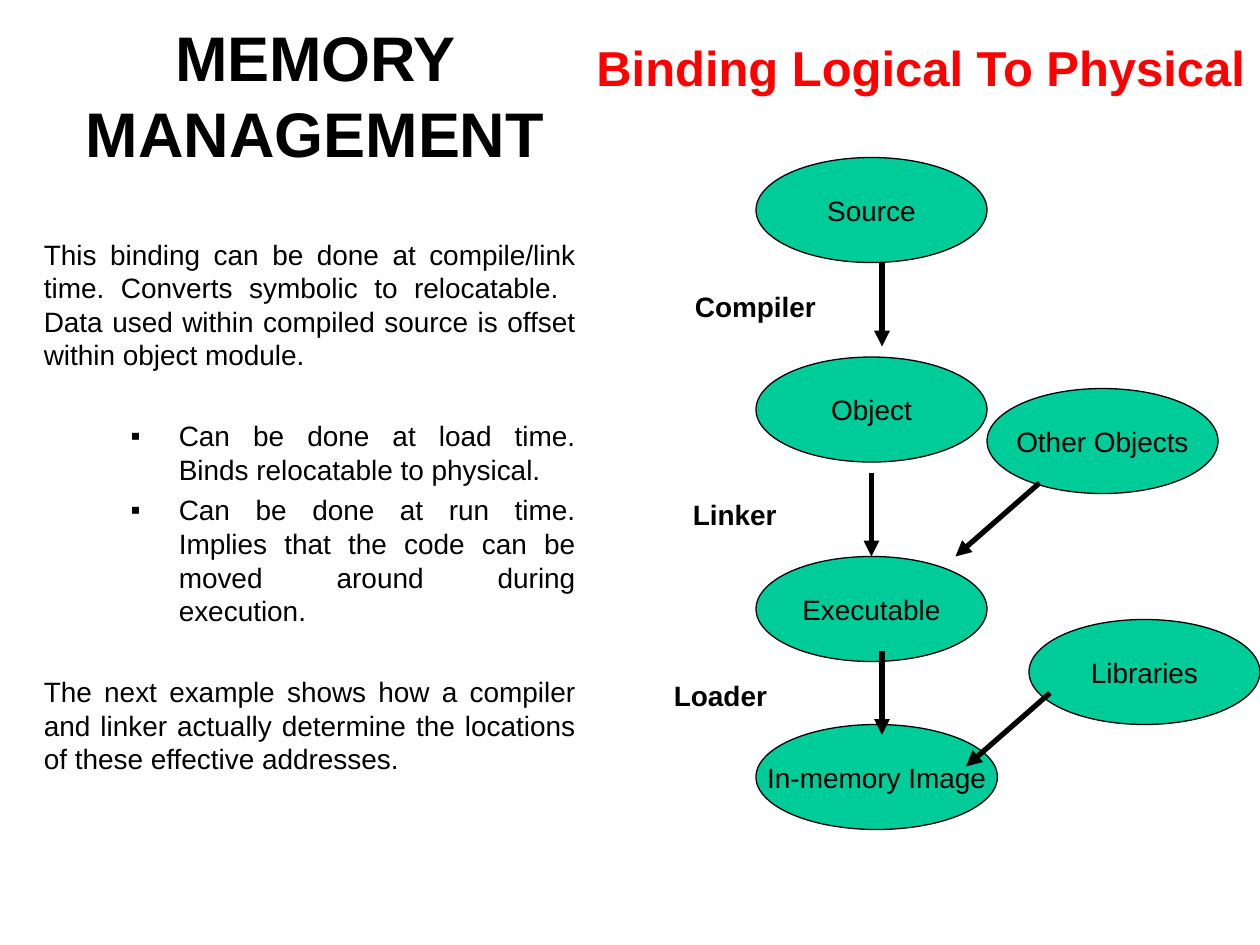
from lxml import etree
from pptx import Presentation
from pptx.dml.color import RGBColor
from pptx.enum.shapes import MSO_CONNECTOR, MSO_SHAPE
from pptx.enum.text import MSO_ANCHOR, PP_ALIGN
from pptx.oxml.ns import qn
from pptx.util import Cm, Pt

STRAIGHT = MSO_CONNECTOR.STRAIGHT
OVAL = MSO_SHAPE.OVAL
MIDDLE, TOP = MSO_ANCHOR.MIDDLE, MSO_ANCHOR.TOP
LEFT, CENTER, JUSTIFY = PP_ALIGN.LEFT, PP_ALIGN.CENTER, PP_ALIGN.JUSTIFY

THEME = {
    "font": "Arial",
    "ink": RGBColor(0x00, 0x00, 0x00),
    "accent": RGBColor(0xFF, 0x00, 0x00),
    "node": RGBColor(0x00, 0xCC, 0x99),
    "title": Pt(36),
    "heading": Pt(28),
    "text": Pt(16),
    "outline": Pt(0.75),
    "arrow": Pt(3),
}

UNIT_CM = 2.54 / 12
TITLE = ("MEMORY MANAGEMENT", (5, 4, 50, 10))
HEADING = ("Binding Logical To Physical", (55.4, 3, 64.6, 6.8))
BODY_AREA = (3, 22, 53, 54)
BODY = [
    ("This binding can be done at compile/link time. Converts symbolic to "
     "relocatable.  Data used within compiled source is offset within object "
     "module.", False, 0),
    ("Can be done at load time. Binds relocatable to physical.", True, 27),
    ("Can be done at run time. Implies that the code can be moved around "
     "during execution.", True, 4),
    ("The next example shows how a compiler and linker actually determine "
     "the locations of these effective addresses.", False, 27),
]

NODE_WIDTH, NODE_HEIGHT = 22, 10
NODES = [
    ("Source", 72, 15, NODE_WIDTH),
    ("Object", 72, 34, NODE_WIDTH),
    ("Executable", 72, 53, NODE_WIDTH),
    ("In-memory Image", 72, 69, 23),
    ("Other Objects", 94, 37, NODE_WIDTH),
    ("Libraries", 98, 59, NODE_WIDTH),
]
STEP_WIDTH, STEP_HEIGHT = 14.5, 4.4
STEPS = [
    ("Compiler", 65, 27),
    ("Linker", 64.8, 46.8),
    ("Loader", 63, 64),
]
ARROWS = [
    ((84, 25), (84, 33), None),
    ((83, 45), (83, 53), "Executable"),
    ((84, 62), (84, 70), None),
    ((99, 46), (91, 53), None),
    ((100, 66), (92, 73), None),
]


def grid(*counts):
    return [Cm(count * UNIT_CM) for count in counts]


def style(para, size, color, bold, align):
    para.alignment = align
    para.font.name = THEME["font"]
    para.font.size = size
    para.font.color.rgb = color
    para.font.bold = bold


def write(shape, text, size, color=THEME["ink"], bold=False, align=CENTER,
          anchor=MIDDLE, wrap=False):
    frame = shape.text_frame
    frame.word_wrap = wrap
    frame.vertical_anchor = anchor
    para = frame.paragraphs[0]
    para.text = text
    style(para, size, color, bold, align)


def add_bullet(para):
    properties = para._p.get_or_add_pPr()
    properties.set("marL", str(Cm(2.72)))
    properties.set("indent", str(Cm(-0.97)))
    etree.SubElement(properties, qn("a:buFont")).set("typeface", THEME["font"])
    etree.SubElement(properties, qn("a:buChar")).set("char", "▪")


def add_body(slide):
    box = slide.shapes.add_textbox(*grid(*BODY_AREA))
    frame = box.text_frame
    frame.word_wrap = True
    for index, (text, bulleted, gap) in enumerate(BODY):
        para = frame.add_paragraph() if index else frame.paragraphs[0]
        para.text = text
        if bulleted:
            add_bullet(para)
        if gap:
            para.space_before = Pt(gap)
        style(para, THEME["text"], THEME["ink"], False, JUSTIFY)


def add_node(slide, text, left, top, width):
    node = slide.shapes.add_shape(OVAL, *grid(left, top, width, NODE_HEIGHT))
    node.shadow.inherit = False
    node.fill.solid()
    node.fill.fore_color.rgb = THEME["node"]
    node.line.color.rgb = THEME["ink"]
    node.line.width = THEME["outline"]
    write(node, text, THEME["text"])
    return node


def add_arrow(slide, start, end, target):
    arrow = slide.shapes.add_connector(STRAIGHT, *grid(*start, *end))
    if target is not None:
        arrow.end_connect(target, 0)
    arrow.line.color.rgb = THEME["ink"]
    arrow.line.width = THEME["arrow"]
    etree.SubElement(arrow.line._get_or_add_ln(), qn("a:tailEnd")).set("type", "triangle")
    etree.SubElement(arrow._element.spPr, qn("a:effectLst"))


def main():
    deck = Presentation()
    deck.slide_width, deck.slide_height = Cm(25.4), Cm(19.05)
    slide = deck.slides.add_slide(deck.slide_layouts[6])

    text, area = TITLE
    write(slide.shapes.add_textbox(*grid(*area)), text, THEME["title"],
          bold=True, wrap=True)
    nodes = {node[0]: add_node(slide, *node) for node in NODES}
    for start, end, target in ARROWS:
        add_arrow(slide, start, end, nodes.get(target))
    for text, left, top in STEPS:
        box = slide.shapes.add_textbox(*grid(left, top, STEP_WIDTH, STEP_HEIGHT))
        write(box, text, THEME["text"], bold=True, align=LEFT, anchor=TOP, wrap=True)
    text, area = HEADING
    write(slide.shapes.add_textbox(*grid(*area)), text, THEME["heading"],
          THEME["accent"], bold=True, anchor=TOP)
    add_body(slide)
    deck.save("out.pptx")


if __name__ == "__main__":
    main()
